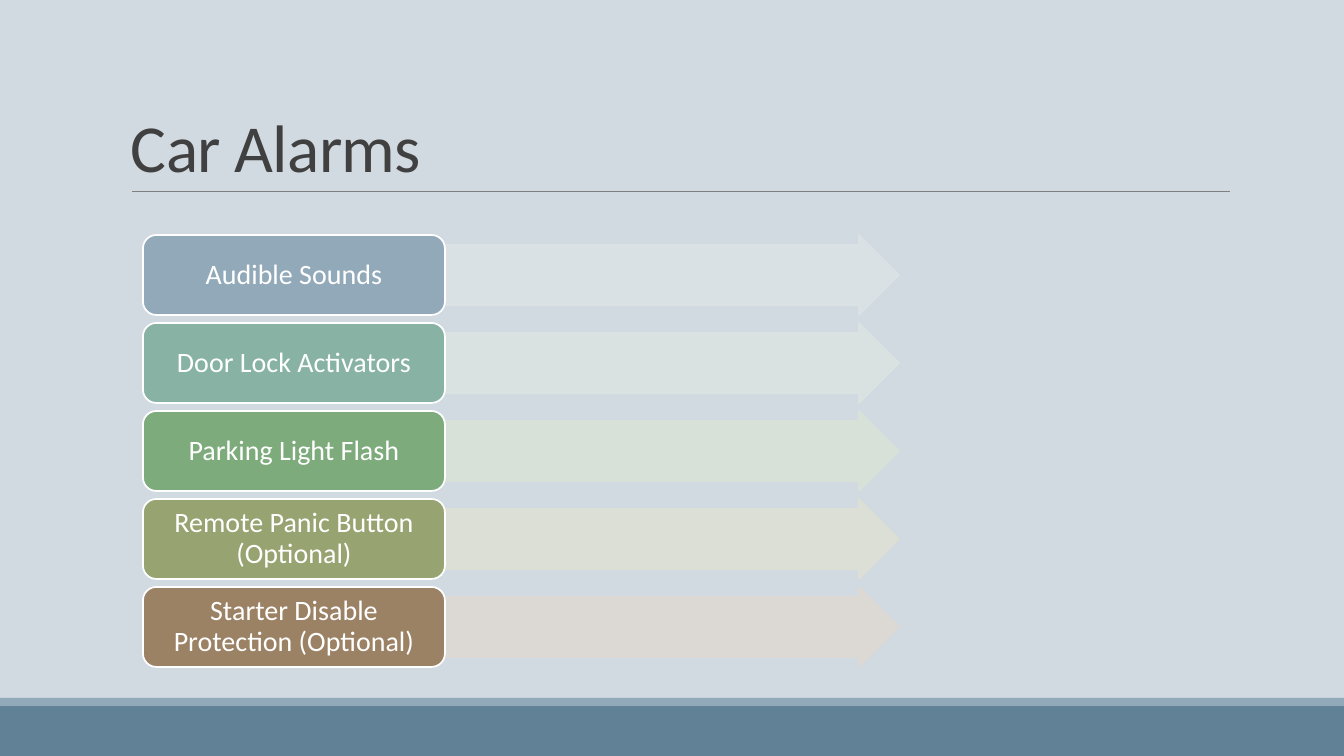
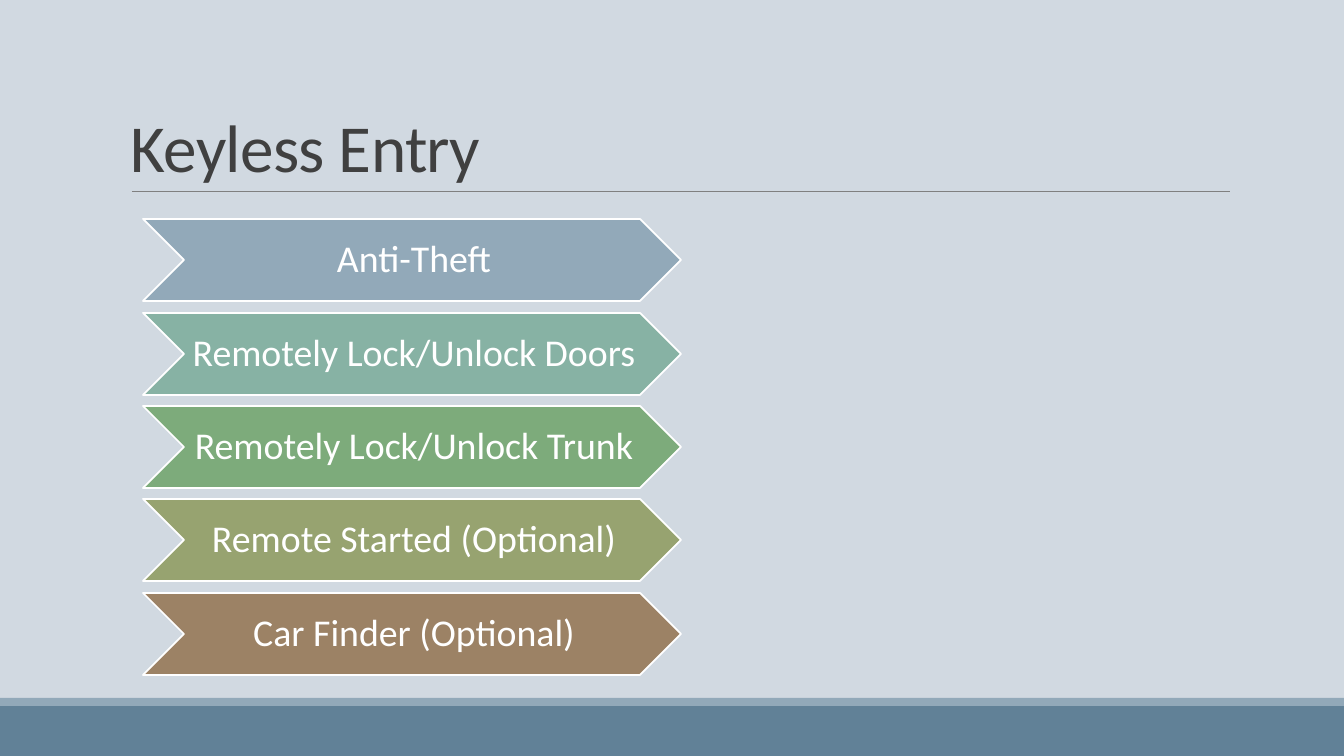
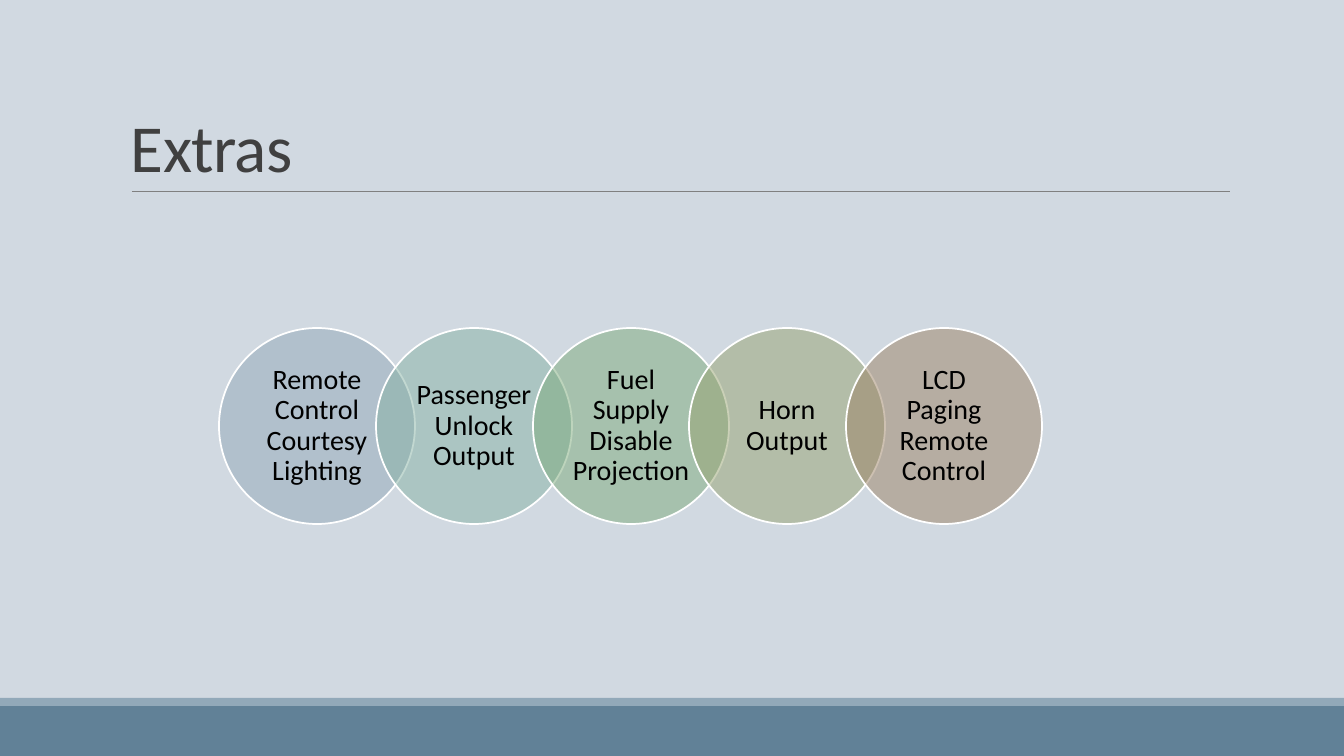
"""Build three slides on car alarms, keyless entry and extras."""
from dataclasses import dataclass

from lxml import etree
from pptx import Presentation
from pptx.dml.color import RGBColor
from pptx.enum.shapes import MSO_CONNECTOR, MSO_SHAPE
from pptx.enum.text import MSO_ANCHOR, PP_ALIGN
from pptx.oxml.ns import qn
from pptx.util import Emu, Pt

RECTANGLE = MSO_SHAPE.RECTANGLE
ROUNDED = MSO_SHAPE.ROUNDED_RECTANGLE
ARROW = MSO_SHAPE.RIGHT_ARROW
CHEVRON = MSO_SHAPE.CHEVRON
CIRCLE = MSO_SHAPE.OVAL
STRAIGHT = MSO_CONNECTOR.STRAIGHT
CENTER, LEFT = PP_ALIGN.CENTER, PP_ALIGN.LEFT
MIDDLE, BOTTOM = MSO_ANCHOR.MIDDLE, MSO_ANCHOR.BOTTOM

WIDTH, HEIGHT = 1344, 756
SCALE = 12192000 / WIDTH


@dataclass(frozen=True)
class Theme:
    font: str = "Calibri"
    background: str = "D1D9E1"
    band: str = "618197"
    strip: str = "92A9B9"
    rule: str = "808080"
    heading: str = "404040"
    light: str = "FFFFFF"
    dark: str = "000000"
    accents: tuple = ("92A9B9", "87B2A4", "7DAB7B", "97A370", "9C8265")
    tints: tuple = ("DCE2E6", "DAE4E1", "D8E2D7", "DEE0D5", "DED8D3")
    title_size: int = 48
    chevron_size: int = 27
    label_size: int = 20
    outline: float = 1.25
    hairline: float = 0.5


def px(length):
    return Emu(round(length * SCALE))


def spread(first, last, count):
    return [first + round((last - first) * index / (count - 1)) for index in range(count)]


class Slides:
    def __init__(self, theme):
        self.theme = theme
        self.deck = Presentation()
        self.deck.slide_width, self.deck.slide_height = px(WIDTH), px(HEIGHT)
        fill = self.deck.slide_master.background.fill
        fill.solid()
        fill.fore_color.rgb = RGBColor.from_string(theme.background)
        self.page = None

    def start(self, title):
        theme = self.theme
        self.page = self.deck.slides.add_slide(self.deck.slide_layouts[6])
        self.shape(RECTANGLE, (0, 706, WIDTH, 50), theme.band)
        self.shape(RECTANGLE, (0, 698, WIDTH, 8), theme.strip)
        self.rule(132, 1230, 191)
        box = self.page.shapes.add_textbox(*map(px, (121, 31, 1109, 160)))
        span = self.label(box, title, theme.title_size, theme.heading,
                          (10, 5, 10, 5), LEFT, BOTTOM, 0.85)
        span.font._element.set("spc", "-50")

    def rule(self, left, right, top):
        line = self.page.shapes.add_connector(STRAIGHT, px(left), px(top), px(right), px(top))
        line.line.color.rgb = RGBColor.from_string(self.theme.rule)
        line.line.width = Pt(self.theme.hairline)
        etree.SubElement(line._element.spPr, qn("a:effectLst"))

    def shape(self, kind, place, fill, line=None, opacity=100):
        shape = self.page.shapes.add_shape(kind, *map(px, place))
        shape.shadow.inherit = False
        shape.fill.solid()
        shape.fill.fore_color.rgb = RGBColor.from_string(fill)
        if line:
            shape.line.color.rgb = RGBColor.from_string(line)
            shape.line.width = Pt(self.theme.outline)
        else:
            shape.line.fill.background()
        if opacity < 100:
            for color in shape._element.spPr.iter(qn("a:srgbClr")):
                if color.get("val") == fill:
                    etree.SubElement(color, qn("a:alpha")).set("val", str(opacity * 1000))
        return shape

    def label(self, box, text, size, color, insets, align=CENTER, anchor=MIDDLE, spacing=0.9):
        frame = box.text_frame
        frame.word_wrap = True
        frame.vertical_anchor = anchor
        frame.margin_left, frame.margin_top, frame.margin_right, frame.margin_bottom = map(px, insets)
        para = frame.paragraphs[0]
        para.alignment = align
        para.line_spacing = spacing
        span = para.add_run()
        span.text = text
        span.font.name = self.theme.font
        span.font.size = Pt(size)
        span.font.color.rgb = RGBColor.from_string(color)
        return span

    def arrow_rows(self, labels):
        theme = self.theme
        tops = spread(235, 587, len(labels))
        for label, top, accent, tint in zip(labels, tops, theme.accents, theme.tints):
            arrow = self.shape(ARROW, (445, top, 454, 80), tint, tint, 90)
            arrow.adjustments[0], arrow.adjustments[1] = 0.75, 0.5
            box = self.shape(ROUNDED, (143, top, 302, 80), accent, theme.light)
            self.label(box, label, theme.label_size, theme.light, (8, 4, 8, 4))

    def chevrons(self, labels):
        theme = self.theme
        tops = spread(219, 593, len(labels))
        for label, top, accent in zip(labels, tops, theme.accents):
            box = self.shape(CHEVRON, (143, top, 538, 82), accent, theme.light)
            self.label(box, label, theme.chevron_size, theme.light, (4, 2, 0, 2))

    def circles(self, labels):
        theme = self.theme
        lefts = spread(219, 846, len(labels))
        for label, left, accent in zip(labels, lefts, theme.accents):
            box = self.shape(CIRCLE, (left, 328, 196, 196), accent, theme.light, 50)
            self.label(box, label, theme.label_size, theme.dark, (10, 3, 10, 3))


def main():
    slides = Slides(Theme())
    slides.start("Car Alarms")
    slides.arrow_rows([
        "Audible Sounds", "Door Lock Activators", "Parking Light Flash",
        "Remote Panic Button (Optional)", "Starter Disable Protection (Optional)",
    ])
    slides.start("Keyless Entry")
    slides.chevrons([
        "Anti-Theft", "Remotely Lock/Unlock Doors", "Remotely Lock/Unlock Trunk",
        "Remote Started (Optional)", "Car Finder (Optional)",
    ])
    slides.start("Extras")
    slides.circles([
        "Remote Control Courtesy Lighting", "Passenger Unlock Output",
        "Fuel Supply Disable Projection", "Horn Output", "LCD Paging Remote Control",
    ])
    slides.deck.save("out.pptx")


if __name__ == "__main__":
    main()
